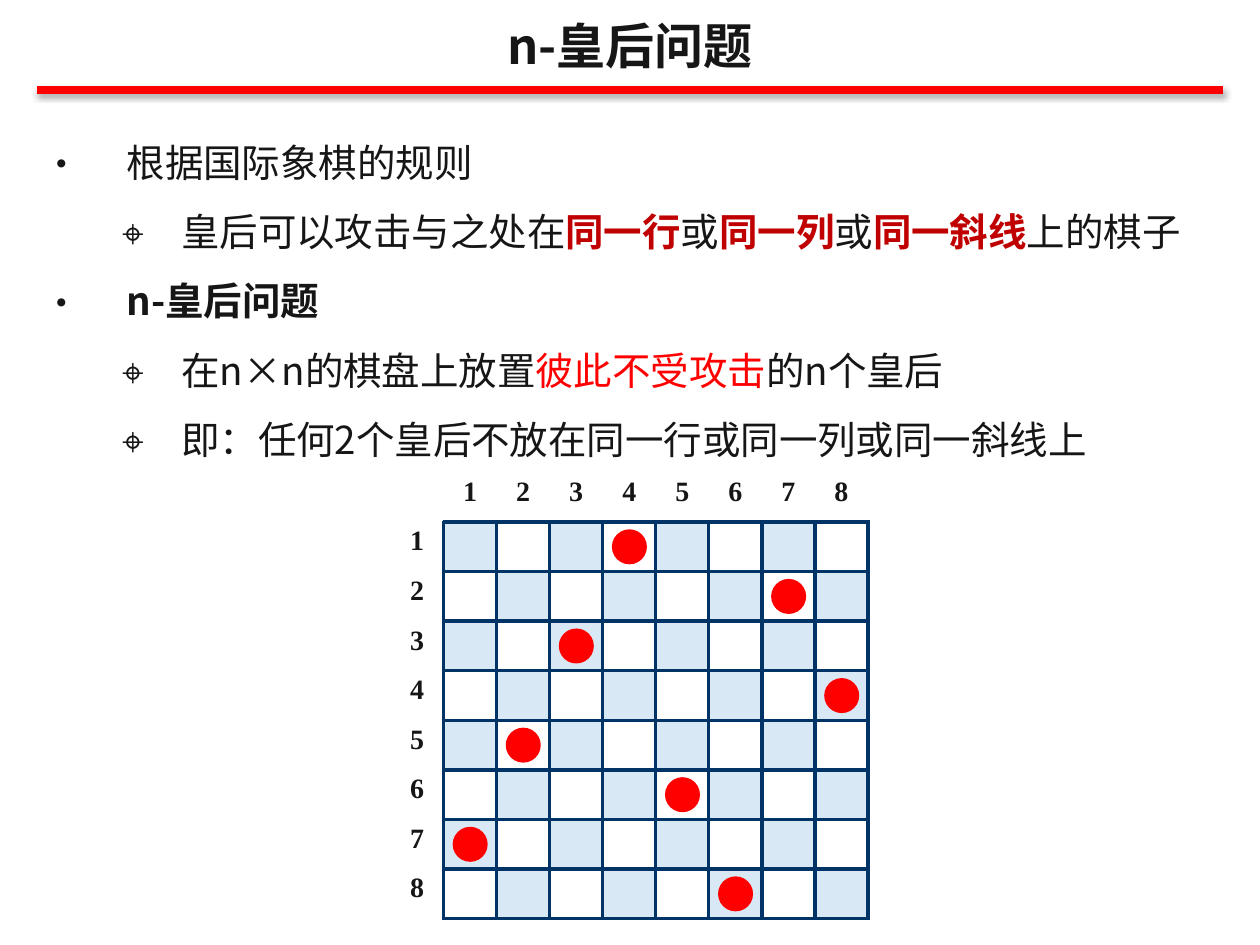
import pptx
import pptx.util
import pptx.dml.color
import pptx.enum.shapes
import pptx.enum.text
import pptx.oxml
import pptx.oxml.ns
from lxml import etree

Pt = pptx.util.Pt
SANS = "Noto Sans CJK SC"
SERIF = "Times New Roman"
INK, RED, DARK_RED = "161616", "FF0000", "C00000"
WHITE, NAVY, PALE_BLUE = "FFFFFF", "003366", "D9E8F5"
QUEEN_COLUMNS = (4, 7, 3, 8, 2, 5, 1, 6)
BOARD_LEFT, BOARD_TOP = 223.2, 270
COLUMN_WIDTH, ROW_HEIGHT = 30.33, 28.33
QUEEN_SIZE = 20

RULES = [
    (1, [("根据国际象棋的规则", INK, False)]),
    (2, [("皇后可以攻击与之处在", INK, False), ("同一行", DARK_RED, True),
         ("或", INK, False), ("同一列", DARK_RED, True),
         ("或", INK, False), ("同一斜线", DARK_RED, True),
         ("上的棋子", INK, False)]),
    (1, [("n-皇后问题", INK, True)]),
    (2, [("在n×n的棋盘上放置", INK, False), ("彼此不受攻击", RED, False),
         ("的n个皇后", INK, False)]),
    (2, [("即：任何2个皇后不放在同一行或同一列或同一斜线上", INK, False)]),
]
BULLETS = {1: ("•", 48, -48), 2: ("⌖", 79.2, -33.84)}


def rgb(value):
    """Turn a hex string into a colour."""
    return pptx.dml.color.RGBColor.from_string(value)


def add_xml(parent, markup):
    """Append a drawing element written as markup."""
    namespace = pptx.oxml.ns.nsdecls("a")
    root = pptx.oxml.parse_xml(f"<a:root {namespace}>{markup}</a:root>")
    for element in list(root):
        parent.append(element)
    etree.cleanup_namespaces(parent)


def set_font(paragraph, face, size, color=INK, bold=False):
    """Set the font of a whole paragraph."""
    font = paragraph.font
    font.size, font.bold, font.name = Pt(size), bold, face
    font.color.rgb = rgb(color)
    properties = paragraph._p.get_or_add_pPr()
    defaults = properties.find(pptx.oxml.ns.qn("a:defRPr"))
    add_xml(defaults, f'<a:ea typeface="{face}"/>')


def add_frame(slide, left, top, width, height):
    """Add a wrapping text box and return its text frame."""
    frame = slide.shapes.add_textbox(Pt(left), Pt(top), Pt(width), Pt(height)).text_frame
    frame.word_wrap = True
    return frame


def add_title(slide):
    """Add the centred heading."""
    frame = add_frame(slide, 0, 3.6, 720, 44.64)
    frame.vertical_anchor = pptx.enum.text.MSO_ANCHOR.MIDDLE
    heading = frame.paragraphs[0]
    heading.text = "n-皇后问题"
    heading.alignment = pptx.enum.text.PP_ALIGN.CENTER
    set_font(heading, SANS, 28, bold=True)


def add_title_rule(slide):
    """Add the red line with its soft shadow below the heading."""
    rule = slide.shapes.add_connector(
        pptx.enum.shapes.MSO_CONNECTOR.STRAIGHT, Pt(21), Pt(51.3), Pt(699), Pt(51.3))
    rule.line.color.rgb = rgb(RED)
    rule.line.width = Pt(4.5)
    add_xml(rule._element.spPr,
            f'<a:effectLst><a:outerShdw blurRad="{Pt(3.1)}" dist="{Pt(1.8)}" dir="5400000" '
            'rotWithShape="0"><a:srgbClr val="000000"><a:alpha val="35000"/></a:srgbClr>'
            '</a:outerShdw></a:effectLst>')


def add_rules(slide):
    """Add the bulleted explanation of the problem."""
    frame = add_frame(slide, 17.28, 60.48, 677.52, 470.88)
    frame.margin_top = Pt(5.6)
    for index, (level, pieces) in enumerate(RULES):
        rule = frame.add_paragraph() if index else frame.paragraphs[0]
        mark, margin, indent = BULLETS[level]
        properties = rule._p.get_or_add_pPr()
        properties.set("marL", str(Pt(margin)))
        properties.set("indent", str(Pt(indent)))
        add_xml(properties, f'<a:buFont typeface="{SANS}"/><a:buChar char="{mark}"/>')
        rule.line_spacing = Pt(39.6)
        set_font(rule, SANS, 22, bold=pieces[0][2])
        for text, color, bold in pieces:
            piece = rule.add_run()
            piece.text = text
            if len(pieces) > 1:
                piece.font.bold = bold
                piece.font.color.rgb = rgb(color)


def set_borders(cell, row, column):
    """Draw navy edges round the board squares and white ones elsewhere."""
    on_board = row and column
    edges = {
        "L": on_board,
        "R": row,
        "T": on_board,
        "B": column,
    }
    for side, navy in edges.items():
        color, width = (NAVY, 2.25) if navy else (WHITE, 1)
        add_xml(cell._tc.get_or_add_tcPr(),
                f'<a:ln{side} w="{Pt(width)}"><a:solidFill><a:srgbClr val="{color}"/>'
                f'</a:solidFill></a:ln{side}>')


def add_board(slide):
    """Add the numbered chessboard."""
    table = slide.shapes.add_table(
        9, 9, Pt(BOARD_LEFT), Pt(BOARD_TOP), Pt(9 * COLUMN_WIDTH), Pt(9 * ROW_HEIGHT)).table
    table.first_row = table.horz_banding = False
    for index in range(9):
        table.columns[index].width = Pt(COLUMN_WIDTH)
        table.rows[index].height = Pt(ROW_HEIGHT)
    for row in range(9):
        for column in range(9):
            square = table.cell(row, column)
            square.margin_left = square.margin_right = Pt(4.5)
            square.margin_top = square.margin_bottom = Pt(2.25)
            set_borders(square, row, column)
            label = square.text_frame.paragraphs[0]
            if bool(row) != bool(column):
                label.text = str(row or column)
            label.alignment = pptx.enum.text.PP_ALIGN.CENTER
            set_font(label, SERIF, 16, bold=True)
            if row and column:
                square.fill.solid()
                square.fill.fore_color.rgb = rgb(WHITE if (row + column) % 2 else PALE_BLUE)
            else:
                square.fill.background()


def add_queen(slide, row, column):
    """Place a red queen in the middle of a square."""
    left = BOARD_LEFT + (column + 0.5) * COLUMN_WIDTH - QUEEN_SIZE / 2
    top = BOARD_TOP + (row + 0.5) * ROW_HEIGHT - QUEEN_SIZE / 2
    queen = slide.shapes.add_shape(
        pptx.enum.shapes.MSO_SHAPE.OVAL, Pt(left), Pt(top), Pt(QUEEN_SIZE), Pt(QUEEN_SIZE))
    queen.shadow.inherit = False
    queen.fill.solid()
    queen.fill.fore_color.rgb = rgb(RED)
    queen.line.fill.background()


def main():
    """Build and save the eight queens slide."""
    deck = pptx.Presentation()
    deck.slide_width, deck.slide_height = Pt(720), Pt(540)
    slide = deck.slides.add_slide(deck.slide_layouts[6])
    add_title_rule(slide)
    add_title(slide)
    add_rules(slide)
    add_board(slide)
    for row, column in enumerate(QUEEN_COLUMNS, start=1):
        add_queen(slide, row, column)
    deck.save("out.pptx")


main()
